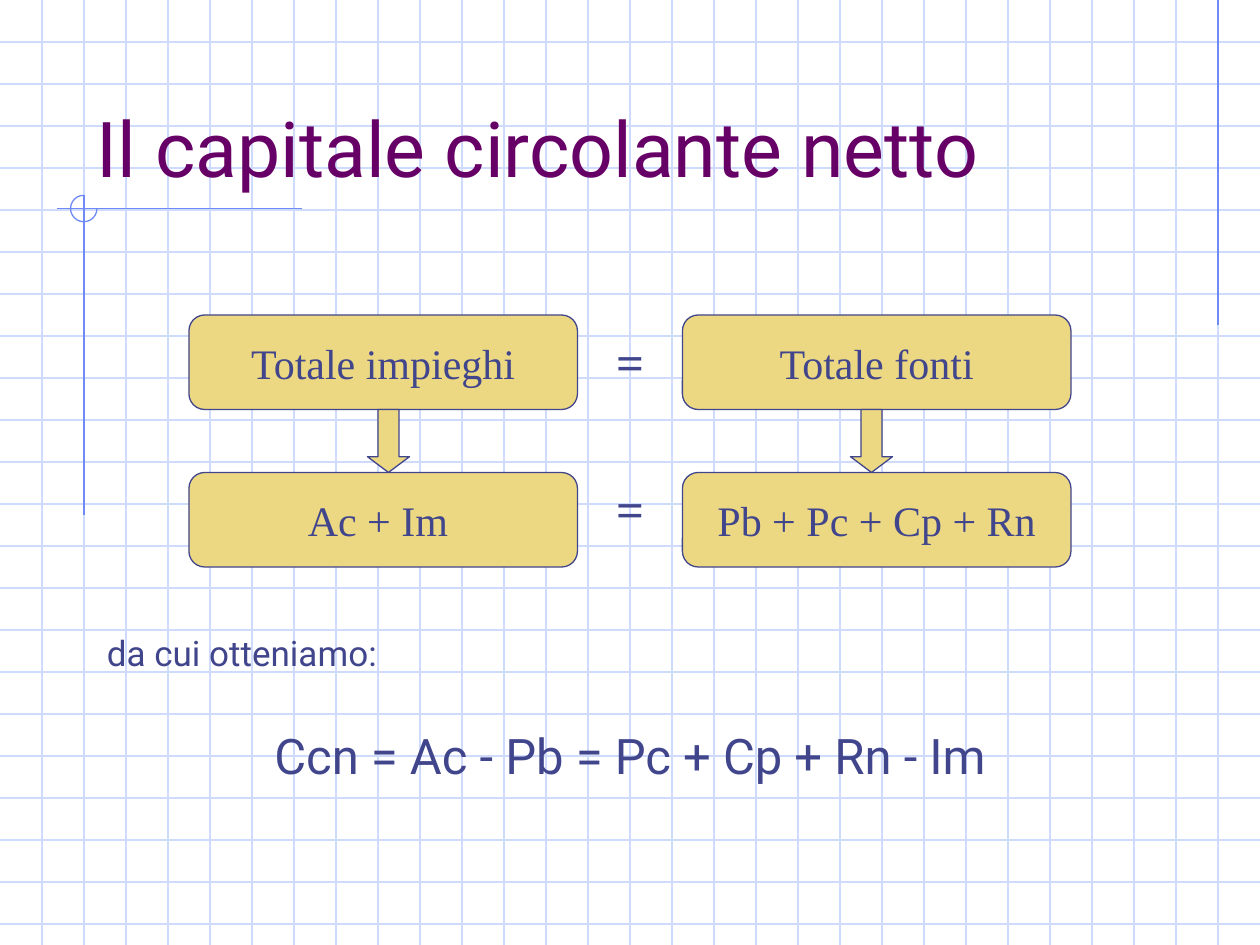
from lxml.etree import SubElement
from pptx import Presentation
from pptx.dml.color import RGBColor
from pptx.enum.shapes import MSO_CONNECTOR, MSO_SHAPE as SHAPE
from pptx.enum.text import MSO_ANCHOR as ANCHOR, MSO_AUTO_SIZE as AUTOSIZE, PP_ALIGN as ALIGN
from pptx.oxml.ns import qn
from pptx.util import Inches, Pt

GRID = RGBColor(0xCF, 0xDB, 0xFD)
ACCENT = RGBColor(0x6F, 0x89, 0xF7)
PURPLE = RGBColor(0x66, 0x00, 0x66)
INK = RGBColor(0x40, 0x45, 0x8C)
SAND = RGBColor(0xEC, 0xD8, 0x82)
CELL = Inches(1) / 3
COLS, ROWS = 30, 22.5

deck = Presentation()
deck.slide_width, deck.slide_height = Inches(10), Inches(7.5)
slide = deck.slides.add_slide(deck.slide_layouts[5])
shapes = slide.shapes


def cells(*lengths):
    return [round(length * CELL) for length in lengths]


def style(paragraph, font, size, color, align=ALIGN.LEFT):
    paragraph.alignment = align
    paragraph.font.name = font
    paragraph.font.size = Pt(size)
    paragraph.font.color.rgb = color


rules = [(0, row, COLS, row, GRID) for row in range(1, 23)]
rules += [(col, 0, col, ROWS, GRID) for col in range(1, COLS)]
rules += [
    (29, 0, 29, 7.75, ACCENT),
    (7.2, 4.97, 1.36, 4.97, ACCENT),
    (2, 4.65, 2, 12.27, ACCENT),
]
for x1, y1, x2, y2, color in rules:
    rule = shapes.add_connector(MSO_CONNECTOR.STRAIGHT, *cells(x1, y1, x2, y2))
    rule.line.color.rgb = color
    rule.line.width = Pt(0.75)
    SubElement(rule._element.spPr, qn("a:effectLst"))

corner = shapes.add_shape(SHAPE.ARC, *cells(1.68, 4.65, 0.63, 0.63))
corner.adjustments[0], corner.adjustments[1] = 0, 162
corner.shadow.inherit = False
corner.fill.background()
corner.line.color.rgb = ACCENT
corner.line.width = Pt(0.75)

title = shapes.title
shapes._spTree.append(title._element)
title.left, title.top, title.width, title.height = cells(2, 1, 25.5, 3.75)
title.text_frame.text = "Il capitale circolante netto"
title.text_frame.vertical_anchor = ANCHOR.BOTTOM
title.text_frame.auto_size = AUTOSIZE.NONE
style(title.text_frame.paragraphs[0], "Roboto", 44, PURPLE)

blocks = [
    (SHAPE.ROUNDED_RECTANGLE, 4.5, 7.5, 9.25, 2.25, "Totale impieghi"),
    (SHAPE.ROUNDED_RECTANGLE, 16.25, 7.5, 9.25, 2.25, "Totale fonti"),
    (SHAPE.ROUNDED_RECTANGLE, 4.5, 11.25, 9.25, 2.25, "Ac + Im "),
    (SHAPE.ROUNDED_RECTANGLE, 16.25, 11.25, 9.25, 2.25, "Pb + Pc + Cp + Rn"),
    (SHAPE.DOWN_ARROW, 8.75, 9.75, 1, 1.5, ""),
    (SHAPE.DOWN_ARROW, 20.25, 9.75, 1, 1.5, ""),
]
for kind, left, top, width, height, label in blocks:
    block = shapes.add_shape(kind, *cells(left, top, width, height))
    block.shadow.inherit = False
    block.fill.solid()
    block.fill.fore_color.rgb = SAND
    block.line.color.rgb = INK
    block.line.width = Pt(0.75)
    if kind == SHAPE.DOWN_ARROW:
        block.adjustments[1] = 0.375
    else:
        block.text_frame.text = label
        block.text_frame.word_wrap = False
        block.text_frame.vertical_anchor = ANCHOR.MIDDLE
        style(block.text_frame.paragraphs[0], "Times New Roman", 24, INK, ALIGN.CENTER)

for left, top, width in [(14, 7.75, 2), (13.75, 11.25, 2.5)]:
    equals = shapes.add_textbox(*cells(left, top, width, 1.7)).text_frame
    equals.word_wrap = True
    equals.text = "="
    style(equals.paragraphs[0], "Times New Roman", 28, INK, ALIGN.CENTER)
    equals.paragraphs[0].font.bold = True

result = shapes.add_textbox(*cells(2.25, 15, 25.5, 6)).text_frame
result.word_wrap = True
result.text = "da cui otteniamo:\nCcn = Ac - Pb = Pc + Cp + Rn - Im"
intro, formula = result.paragraphs
style(intro, "Roboto", 20, INK)
style(formula, "Roboto", 28, INK, ALIGN.CENTER)
intro.line_spacing = formula.line_spacing = 0.9
intro.space_before, formula.space_before = Pt(5), Pt(33)

deck.save("out.pptx")
